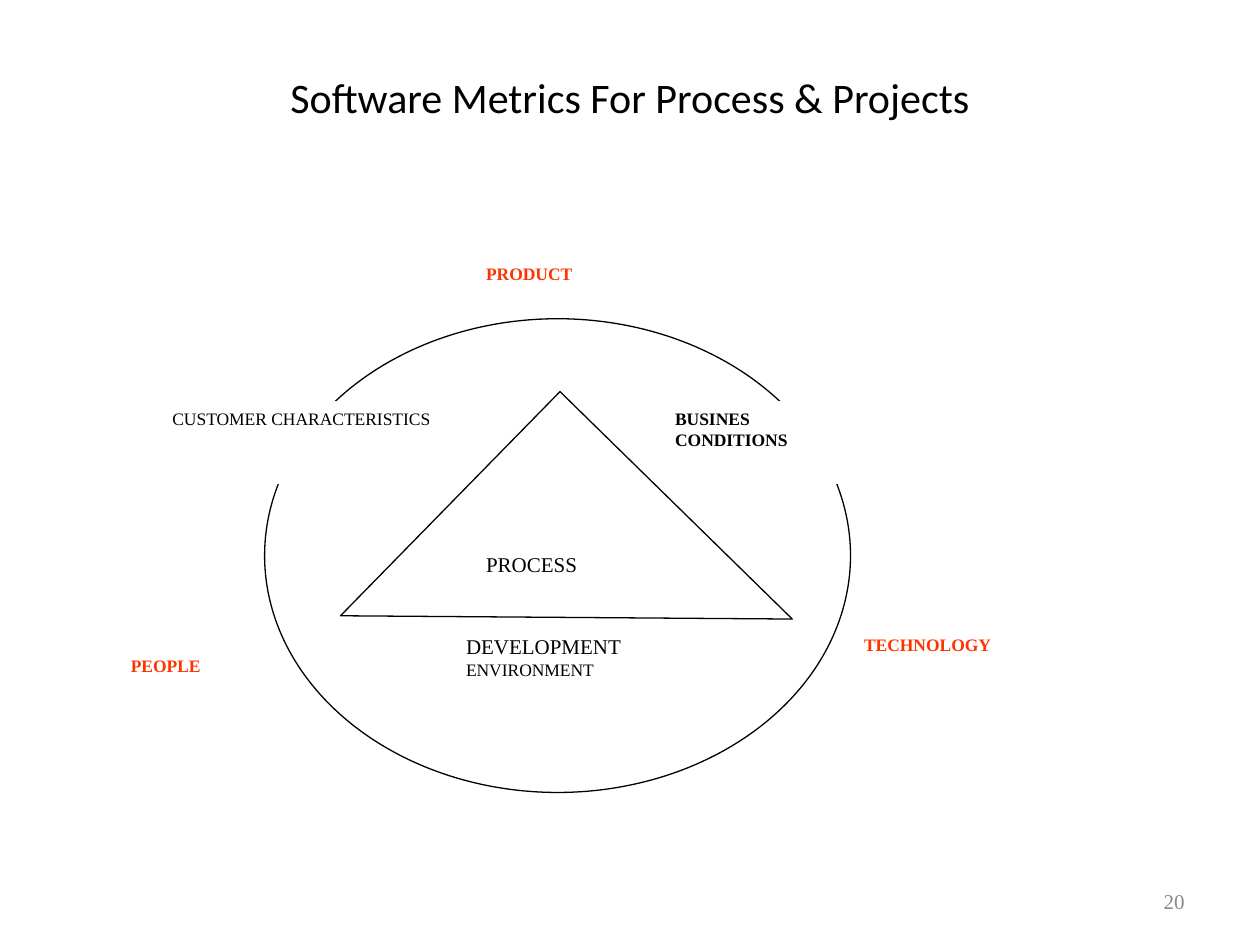
from pptx import Presentation
from pptx.dml.color import RGBColor
from pptx.enum.shapes import MSO_SHAPE
from pptx.enum.text import MSO_ANCHOR, PP_ALIGN
from pptx.util import Inches, Pt

ELLIPSE, TRIANGLE, RECTANGLE = MSO_SHAPE.OVAL, MSO_SHAPE.RIGHT_TRIANGLE, MSO_SHAPE.RECTANGLE
TOP, MIDDLE = MSO_ANCHOR.TOP, MSO_ANCHOR.MIDDLE
LEFT, CENTER, RIGHT = PP_ALIGN.LEFT, PP_ALIGN.CENTER, PP_ALIGN.RIGHT
BLACK, WHITE, RED, GRAY = "000000", "FFFFFF", "FF3300", "898989"
SERIF, SANS = "Times New Roman", "Calibri"

TITLE = "Software Metrics For Process & Projects"
PAGE_NUMBER = "20"
LABELS = [
    ((3.76, 4.33, 1.33, 0.49), [("PROCESS", 12)], BLACK, False, None),
    ((5.26, 3.19, 1.66, 0.65), [("BUSINES CONDITIONS", 10)], BLACK, True, WHITE),
    ((1.27, 3.19, 2.33, 0.65), [("CUSTOMER CHARACTERISTICS", 10)], BLACK, False, WHITE),
    ((3.6, 4.98, 1.99, 0.65), [("DEVELOPMENT ", 12), ("ENVIRONMENT", 10)], BLACK, False, WHITE),
    ((0.94, 5.15, 1.16, 0.33), [("PEOPLE", 10)], RED, True, WHITE),
    ((6.76, 4.98, 1.83, 0.33), [("TECHNOLOGY", 10)], RED, True, WHITE),
    ((3.76, 2.04, 1.33, 0.33), [("PRODUCT", 10)], RED, True, WHITE),
]


def color(value):
    return RGBColor.from_string(value)


def write(box, pieces, text_color, font=SERIF, bold=False, align=LEFT, anchor=TOP):
    frame = box.text_frame
    frame.word_wrap = True
    frame.vertical_anchor = anchor
    para = frame.paragraphs[0]
    para.alignment = align
    for text, size in pieces:
        span = para.add_run()
        span.text = text
        span.font.name = font
        span.font.size = Pt(size)
        span.font.bold = bold
        span.font.color.rgb = color(text_color)


def add_outline(shapes, kind, place, line, fill=WHITE):
    shape = shapes.add_shape(kind, *map(Inches, place))
    shape.shadow.inherit = False
    if fill:
        shape.fill.solid()
        shape.fill.fore_color.rgb = color(fill)
    else:
        shape.fill.background()
    shape.line.color.rgb = color(line)
    shape.line.width = Pt(0.75)
    return shape


def main():
    deck = Presentation()
    deck.slide_width, deck.slide_height = Inches(10), Inches(7.5)
    page = deck.slides.add_slide(deck.slide_layouts[6])

    title = page.shapes.add_textbox(*map(Inches, (0.75, 0.44, 8.5, 0.65)))
    write(title, [(TITLE, 24)], BLACK, SANS, align=CENTER, anchor=MIDDLE)
    number = page.shapes.add_textbox(*map(Inches, (7.17, 6.95, 2.33, 0.4)))
    write(number, [(PAGE_NUMBER, 12)], GRAY, align=RIGHT, anchor=MIDDLE)

    diagram = page.shapes.add_group_shape().shapes
    add_outline(diagram, ELLIPSE, (2.1, 2.53, 4.65, 3.76), BLACK)
    triangle = add_outline(diagram, TRIANGLE, (3.25, 3.61, 2.49, 2.58), BLACK)
    triangle.rotation = 134.4
    for place, pieces, text_color, bold, fill in LABELS:
        label = add_outline(diagram, RECTANGLE, place, WHITE, fill)
        write(label, pieces, text_color, bold=bold)

    deck.save("out.pptx")


if __name__ == "__main__":
    main()
